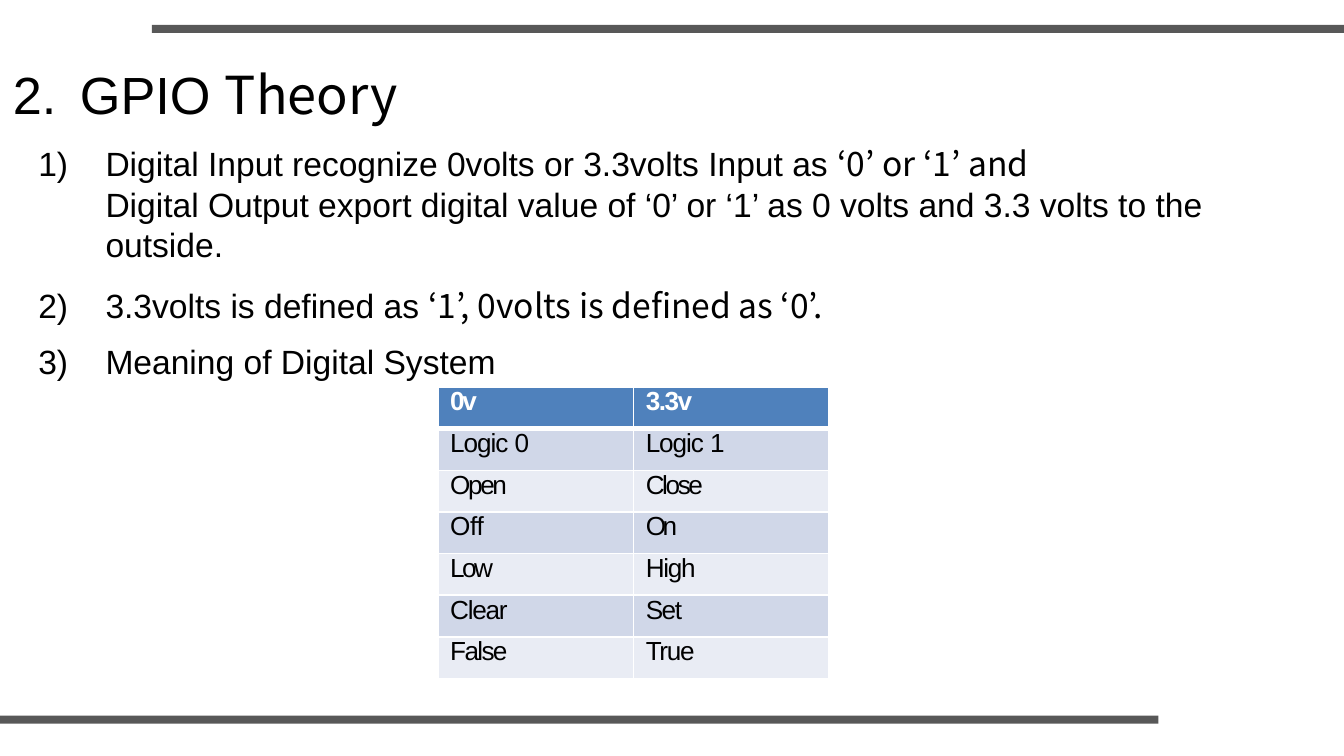
from dataclasses import dataclass
from typing import Any, NamedTuple

from lxml.etree import SubElement
from pptx import Presentation
from pptx.dml.color import RGBColor
from pptx.enum.shapes import MSO_SHAPE
from pptx.enum.text import MSO_ANCHOR, MSO_AUTO_SIZE, PP_ALIGN
from pptx.oxml.ns import qn
from pptx.util import Emu, Pt

EMU_PER_PX = 4572


@dataclass(frozen=True)
class Theme:
    """Colours, fonts and type sizes of the slide."""

    bar: str = "585858"
    ink: str = "000000"
    white: str = "FFFFFF"
    header: str = "4F81BC"
    bands: tuple[str, str] = ("E9ECF4", "D0D7E8")
    latin: str = "Arial"
    korean: str = "Noto Sans CJK KR"
    title_size: int = 28
    body_size: int = 18
    table_size: int = 14


THEME = Theme()


class Box(NamedTuple):
    """A rectangle in px."""

    left: int
    top: int
    width: int
    height: int


class Span(NamedTuple):
    """Text in one font, with letter spacing in points."""

    text: str
    font: str = THEME.latin
    spacing: float = 0


class Line(NamedTuple):
    """A paragraph with its space before in points and its indent in px."""

    spans: list[Span]
    before: float = 0
    indent: int = 3


SLIDE_WIDTH, SLIDE_HEIGHT = 2000, 1125
BARS = [Box(226, 37, 1774, 12), Box(0, 1065, 1724, 12)]
TITLE_BOX = Box(16, 92, 718, 94)
BODY_BOX = Box(54, 213, 1762, 356)
TABLE_BOX = Box(652, 576, 582, 434)
TAB_STOP = 103

TITLE = [Line([Span("2.\tGPIO "), Span("Theory", THEME.korean)])]
BODY = [
    Line([
        Span("1)\tDigital Input recognize 0volts or 3.3volts Input as "),
        Span("‘0’ or ‘1’ and", THEME.korean),
    ]),
    Line([Span("Digital Output export digital value of ‘0’ or ‘1’ as 0 volts and 3.3 volts to the outside.")],
         indent=TAB_STOP),
    Line([
        Span("2)\t3.3volts is defined as "),
        Span("‘1’, 0volts is defined as ‘0’.", THEME.korean),
    ], before=11.4),
    Line([Span("3)\tMeaning of Digital System")], before=8.1),
]
LEVELS = [
    [[("0v", -1.3)], [("3.3v", -0.8)]],
    [[("Logic ", -0.6), ("0", -0.5)], [("Logic ", -0.6), ("1", -2.6)]],
    [[("Open", -1.3)], [("Close", -1.3)]],
    [[("Off", -0.2)], [("On", -1.9)]],
    [[("Low", -1.4)], [("High", -0.7)]],
    [[("Clear", -0.7)], [("Set", -0.8)]],
    [[("False", -0.9)], [("True", -0.7)]],
]


def px(length: int) -> Emu:
    """Turn px into EMU."""
    return Emu(length * EMU_PER_PX)


def apply(target: Any, values: dict[str, Any]) -> None:
    """Set every attribute named in the format values."""
    for name, value in values.items():
        setattr(target, name, value)


def write_lines(text_frame: Any, lines: list[Line], size: int, color: str = THEME.ink, bold: bool = False) -> None:
    """Write left-aligned paragraphs without bullets."""
    for index, line in enumerate(lines):
        paragraph = text_frame.add_paragraph() if index else text_frame.paragraphs[0]
        properties = paragraph._p.get_or_add_pPr()
        properties.set("marL", str(px(line.indent)))
        properties.set("indent", "0")
        SubElement(properties, qn("a:buNone"))
        if "\t" in line.spans[0].text:
            tabs = SubElement(properties, qn("a:tabLst"))
            SubElement(tabs, qn("a:tab"), pos=str(px(TAB_STOP)), algn="l")
        apply(paragraph, {"alignment": PP_ALIGN.LEFT, "space_before": Pt(line.before), "space_after": Pt(0)})
        for span in line.spans:
            run = paragraph.add_run()
            run.text = span.text
            apply(run.font, {"name": span.font, "size": Pt(size), "bold": bold})
            run.font.color.rgb = RGBColor.from_string(color)
            if span.spacing:
                run._r.get_or_add_rPr().set("spc", str(round(span.spacing * 100)))


def fill_placeholder(shape: Any, box: Box, lines: list[Line], size: int) -> None:
    """Move a placeholder and give it text."""
    apply(shape, {name: px(value) for name, value in box._asdict().items()})
    apply(shape.text_frame, {
        "margin_left": 0, "margin_top": 0, "margin_right": 0, "margin_bottom": 0,
        "word_wrap": True, "vertical_anchor": MSO_ANCHOR.TOP, "auto_size": MSO_AUTO_SIZE.SHAPE_TO_FIT_TEXT,
    })
    write_lines(shape.text_frame, lines, size)


def draw_bar(slide: Any, box: Box) -> None:
    """Draw one plain bar."""
    shape = slide.shapes.add_shape(MSO_SHAPE.RECTANGLE, *map(px, box))
    shape.shadow.inherit = False
    shape.fill.solid()
    shape.fill.fore_color.rgb = RGBColor.from_string(THEME.bar)
    shape.line.fill.background()


def draw_borders(cell: Any, widths: dict[str, int]) -> None:
    """Give a cell white borders with widths in points."""
    for side, width in widths.items():
        border = SubElement(cell._tc.get_or_add_tcPr(), qn(f"a:ln{side}"), w=str(Pt(width)))
        fill = SubElement(border, qn("a:solidFill"))
        SubElement(fill, qn("a:srgbClr"), val=THEME.white)


def draw_table(slide: Any, box: Box) -> None:
    """Draw the table of logic levels."""
    table = slide.shapes.add_table(len(LEVELS), len(LEVELS[0]), *map(px, box)).table
    for row, values in enumerate(LEVELS):
        header = row == 0
        for column, parts in enumerate(values):
            cell = table.cell(row, column)
            apply(cell, {"margin_left": 0, "margin_top": 0, "margin_right": 0, "margin_bottom": 0})
            draw_borders(cell, {"L": 1, "R": 1, "T": 3 if row == 1 else 1, "B": 3 if header else 1})
            cell.fill.solid()
            cell.fill.fore_color.rgb = RGBColor.from_string(THEME.header if header else THEME.bands[row % 2])
            spans = [Span(text, spacing=spacing) for text, spacing in parts]
            line = Line(spans, before=0.7 if row == 1 else 1.7, indent=18)
            write_lines(cell.text_frame, [line], THEME.table_size, THEME.white if header else THEME.ink, header)


def main() -> None:
    """Build and save the slide."""
    presentation = Presentation()
    apply(presentation, {"slide_width": px(SLIDE_WIDTH), "slide_height": px(SLIDE_HEIGHT)})
    slide = presentation.slides.add_slide(presentation.slide_layouts[1])
    for box in BARS:
        draw_bar(slide, box)
    draw_table(slide, TABLE_BOX)
    fill_placeholder(slide.shapes.title, TITLE_BOX, TITLE, THEME.title_size)
    fill_placeholder(slide.placeholders[1], BODY_BOX, BODY, THEME.body_size)
    presentation.save("out.pptx")


if __name__ == "__main__":
    main()
